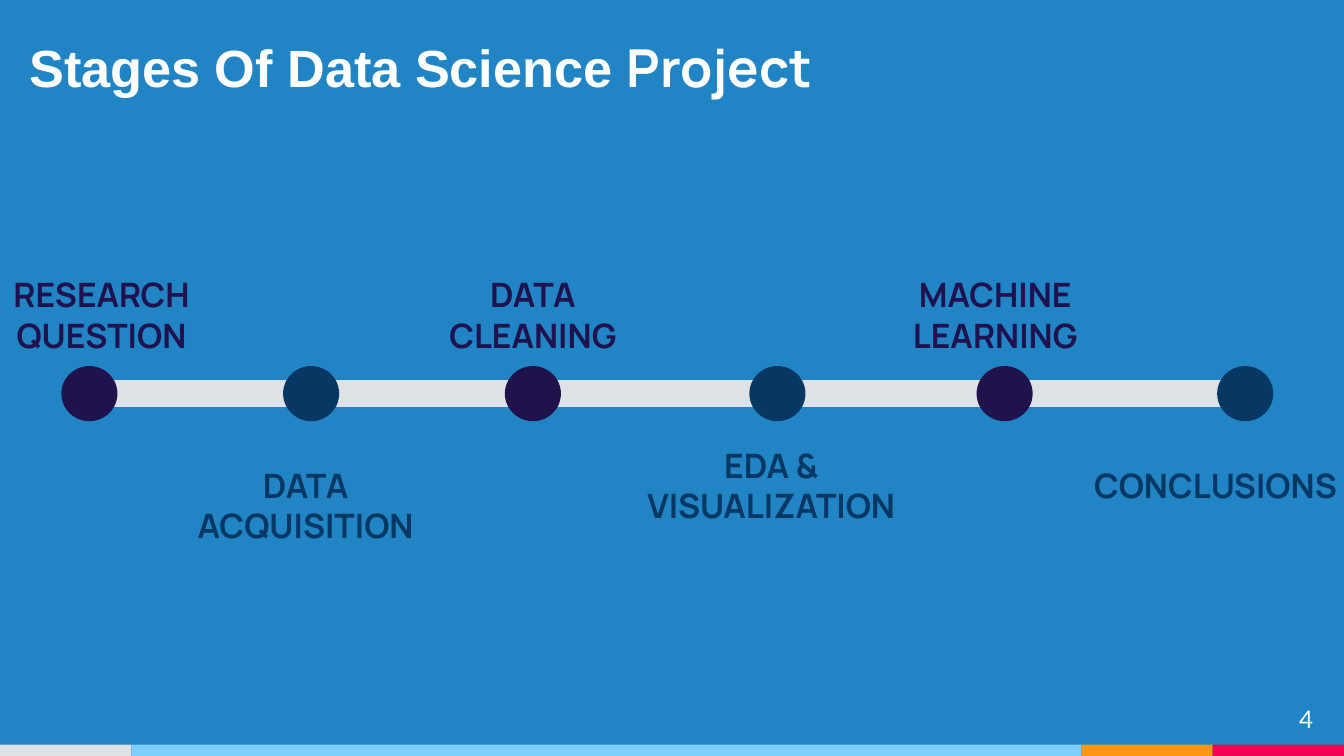
from pptx import Presentation
from pptx.dml.color import RGBColor
from pptx.enum.shapes import MSO_SHAPE
from pptx.enum.text import MSO_ANCHOR, PP_ALIGN
from pptx.util import Pt

# Content
TITLE = [("Stages Of Data Science ", "Arial"), ("Project", "Manrope")]
PAGE_NUMBER = "4"
PURPLE, NAVY, WHITE, GREY, BLUE = "20124D", "073763", "FFFFFF", "DEE2E6", "2185C5"

# Stage: label, dot centre, label centre, label top, label width
STAGES = [
    ("RESEARCH QUESTION", 47.9, 54.4, 139.7, 134.6),
    ("DATA ACQUISITION", 166.7, 163.8, 241.9, 134.6),
    ("DATA CLEANING", 285.5, 285.5, 139.7, 134.6),
    ("EDA & VISUALIZATION", 416.5, 413.2, 231.1, 153.4),
    ("MACHINE\nLEARNING", 538.2, 533.2, 139.7, 134.6),
    ("CONCLUSIONS", 667.1, 651.2, 241.9, 153.4),
]
FOOTER = [(GREY, 70.4), ("7ECEFD", 509), ("FF9715", 70.3), ("F20253", 70.3)]

# Layout
WIDTH, HEIGHT = 720, 405
DOT_WIDTH, DOT_HEIGHT = 29.3, 28.8
LINE_MIDDLE = 210.9
FOOTER_TOP = 398.9


def color(value):
    return RGBColor.from_string(value)


def add_block(slide, kind, box, fill, outline=None):
    block = slide.shapes.add_shape(kind, *map(Pt, box))
    block.shadow.inherit = False
    block.fill.solid()
    block.fill.fore_color.rgb = color(fill)
    if outline:
        block.line.color.rgb = color(outline)
        block.line.width = Pt(0.75)
    else:
        block.line.fill.background()


def add_text(slide, box, paragraphs, size, fill, align, bold=True, inset=7.2):
    frame = slide.shapes.add_textbox(*map(Pt, box)).text_frame
    frame_format = {
        "word_wrap": True, "vertical_anchor": MSO_ANCHOR.TOP,
        "margin_left": Pt(7.2), "margin_right": Pt(7.2),
        "margin_top": Pt(inset), "margin_bottom": Pt(inset),
    }
    for key, value in frame_format.items():
        setattr(frame, key, value)
    for number, runs in enumerate(paragraphs):
        paragraph = frame.add_paragraph() if number else frame.paragraphs[0]
        paragraph.alignment = align
        for words, font_name in runs:
            run = paragraph.add_run()
            run.text = words
            font_format = {"name": font_name, "size": Pt(size), "bold": bold}
            for key, value in font_format.items():
                setattr(run.font, key, value)
            run.font.color.rgb = color(fill)


def main():
    deck = Presentation()
    deck.slide_width, deck.slide_height = Pt(WIDTH), Pt(HEIGHT)
    slide = deck.slides.add_slide(deck.slide_layouts[6])
    slide.background.fill.solid()
    slide.background.fill.fore_color.rgb = color(BLUE)

    # Footer strip
    left = 0
    for fill, width in FOOTER:
        box = (left, FOOTER_TOP, width, HEIGHT - FOOTER_TOP)
        add_block(slide, MSO_SHAPE.RECTANGLE, box, fill)
        left += width
    add_text(slide, (667.4, 370.1, 43.2, 24.5), [[(PAGE_NUMBER, "Lato")]],
             13, WHITE, PP_ALIGN.RIGHT, bold=False)

    # Timeline bar
    add_block(slide, MSO_SHAPE.RECTANGLE, (38.2, LINE_MIDDLE - 7.8, 629.3, 15.6), GREY, BLUE)

    # Stages, alternating above and below the bar
    for number, (label, dot_x, label_x, top, width) in enumerate(STAGES):
        fill = NAVY if number % 2 else PURPLE
        dot = (dot_x - DOT_WIDTH / 2, LINE_MIDDLE - DOT_HEIGHT / 2, DOT_WIDTH, DOT_HEIGHT)
        add_block(slide, MSO_SHAPE.OVAL, dot, fill, fill)
        lines = [[(line, "Manrope")] for line in label.split("\n")]
        height = 58.3 if len(label.split()) > 1 else 36
        add_text(slide, (label_x - width / 2, top, width, height), lines,
                 18, fill, PP_ALIGN.CENTER)

    # Title
    add_text(slide, (8.6, 15.1, 474.5, 41), [TITLE], 28, WHITE, PP_ALIGN.LEFT, inset=3.6)

    deck.save("out.pptx")


if __name__ == "__main__":
    main()
